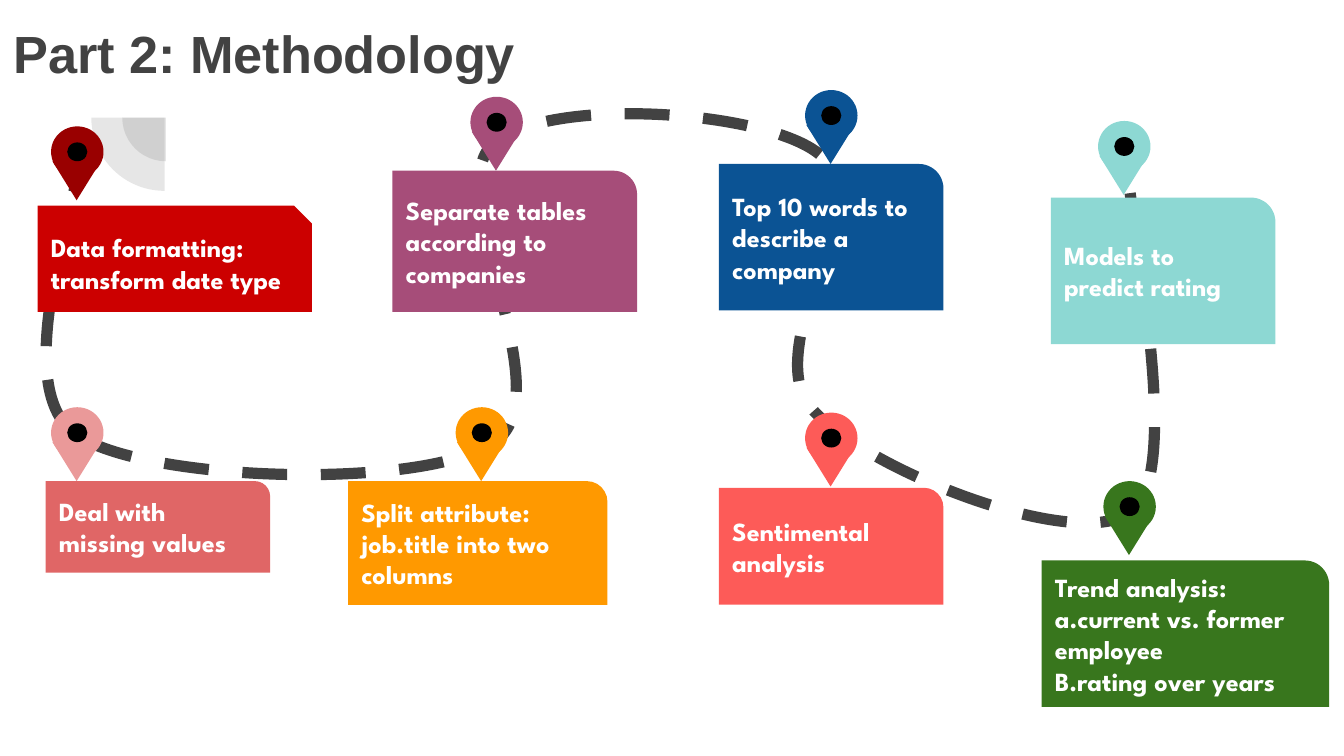
from lxml.etree import SubElement
from pptx import Presentation
from pptx.dml.color import RGBColor
from pptx.enum.dml import MSO_LINE
from pptx.enum.shapes import MSO_SHAPE
from pptx.enum.text import MSO_ANCHOR, MSO_AUTO_SIZE, PP_ALIGN
from pptx.oxml.ns import qn
from pptx.util import Pt

SCALE = 9144  # EMU per px, 100 px to the inch
WIDTH = 1000
GREY, WHITE, BLACK = "424242", "FFFFFF", "000000"

# Steps along the road: text, card colour, card box, pin colour, pin corner
STEPS = [
    ("Data formatting: transform date type", "CC0000", (28, 153, 204, 79), "990000", (38, 94)),
    ("Deal with missing values", "E06666", (34, 358, 167, 68), "EA9999", (38, 303)),
    ("Split attribute: job.title into two columns", "FF9900", (259, 358, 193, 92), "FF9900", (339, 303)),
    ("Separate tables according to companies", "A64D79", (292, 127, 182, 105), "A64D79", (350, 72)),
    ("Top 10 words to describe a company", "0B5394", (535, 122, 167, 109), "0B5394", (599, 67)),
    ("Sentimental analysis", "FD5B58", (535, 363, 167, 87), "FD5B58", (599, 307)),
    ("Trend analysis: a.current vs. former employee\nB.rating over years", "38761D",
     (775, 417, 214, 109), "38761D", (821, 358)),
    ("Models to predict rating", "8DD8D3", (782, 147, 167, 109), "8DD8D3", (817, 90)),
]

# Start of the road, then three points for each curve
ROAD = [
    (61, 110),
    (60, 145), (5, 286), (56, 323),
    (107, 359), (316, 365), (368, 329),
    (420, 293), (327, 142), (367, 107),
    (408, 71), (571, 82), (610, 115),
    (650, 148), (565, 260), (604, 304),
    (642, 349), (804, 413), (843, 380),
    (882, 347), (838, 152), (837, 107),
]


def px(*nums):
    return [n * SCALE for n in nums]


def tint(color, code):
    color.rgb = RGBColor.from_string(code)


def add_form(shapes, kind, box, code):
    form = shapes.add_shape(kind, *px(*box))
    form.shadow.inherit = False
    form.fill.solid()
    tint(form.fill.fore_color, code)
    form.line.fill.background()
    return form


def set_text(frame, text, font, size, code):
    frame.text = text
    frame.word_wrap = True
    frame.auto_size = MSO_AUTO_SIZE.NONE
    frame.margin_left, frame.margin_top, frame.margin_right, frame.margin_bottom = px(10, 10, 10, 10)
    for para in frame.paragraphs:
        para.alignment = PP_ALIGN.LEFT
        para.font.name = font
        para.font.size = Pt(size)
        para.font.bold = True
        tint(para.font.color, code)


def add_pie(shapes, box):
    pie = add_form(shapes, MSO_SHAPE.PIE, box, GREY)
    pie.adjustments[0], pie.adjustments[1] = 108, 162
    pie.rotation = 270
    shade = next(pie._element.spPr.iter(qn("a:srgbClr")))
    SubElement(shade, qn("a:alpha"), val="13000")


def add_road(shapes):
    pen = shapes.build_freeform(*ROAD[0], scale=SCALE)
    pen.add_line_segments(ROAD[1:], close=False)
    road = pen.convert_to_shape()
    # Join each three straight parts into one curve
    lines = list(road._element.iter(qn("a:lnTo")))
    for i in range(0, len(lines), 3):
        curve = SubElement(lines[i].getparent(), qn("a:cubicBezTo"))
        for line in lines[i:i + 3]:
            curve.append(line[0])
            line.getparent().remove(line)
    road.shadow.inherit = False
    road.fill.background()
    tint(road.line.color, GREY)
    road.line.width = Pt(6)
    road.line.dash_style = MSO_LINE.DASH


def add_pin(shapes, left, top, code):
    pin = shapes.add_group_shape().shapes
    add_form(pin, MSO_SHAPE.OVAL, (left, top, 39, 38), code)
    tip = add_form(pin, MSO_SHAPE.ISOSCELES_TRIANGLE, (left + 1, top + 26, 36, 29), code)
    tip.rotation = 180
    add_form(pin, MSO_SHAPE.OVAL, (left + 12, top + 12, 15, 14), BLACK)


def add_card(shapes, kind, box, code, text):
    card = add_form(shapes, kind, box, code)
    set_text(card.text_frame, text, "League Spartan", 14, WHITE)
    card.text_frame.vertical_anchor = MSO_ANCHOR.MIDDLE


def main():
    # Slide of 16 to 9
    deck = Presentation()
    deck.slide_width = WIDTH * SCALE
    deck.slide_height = WIDTH * SCALE * 9 // 16
    slide = deck.slides.add_slide(deck.slide_layouts[5])
    shapes = slide.shapes

    # Title
    title = shapes.title
    title.left, title.top, title.width, title.height = px(0, 6, 769, 109)
    set_text(title.text_frame, "Part 2: Methodology", "Arial", 28, GREY)
    title.text_frame.vertical_anchor = MSO_ANCHOR.TOP

    # Corner ornament and road
    add_pie(shapes, (91, 55, 65, 65))
    add_pie(shapes, (68, 33, 109, 109))
    add_road(shapes)

    # Steps: the first card has a cut corner, the rest a round one
    for i, (text, code, box, mark, spot) in enumerate(STEPS):
        kind = MSO_SHAPE.ROUND_1_RECTANGLE if i else MSO_SHAPE.SNIP_1_RECTANGLE
        add_card(shapes, kind, box, code, text)
        add_pin(shapes, *spot, mark)

    deck.save("out.pptx")


if __name__ == "__main__":
    main()
